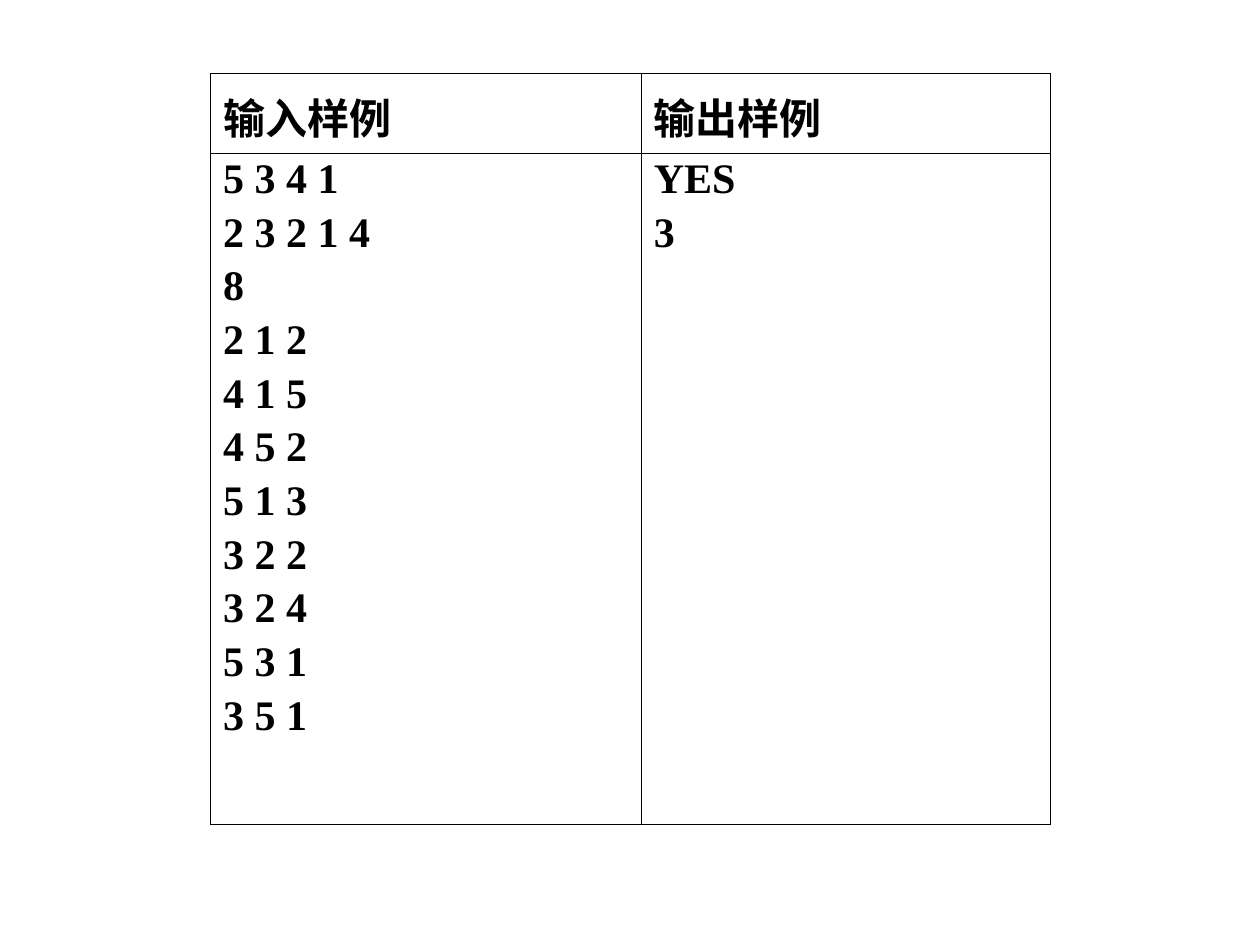
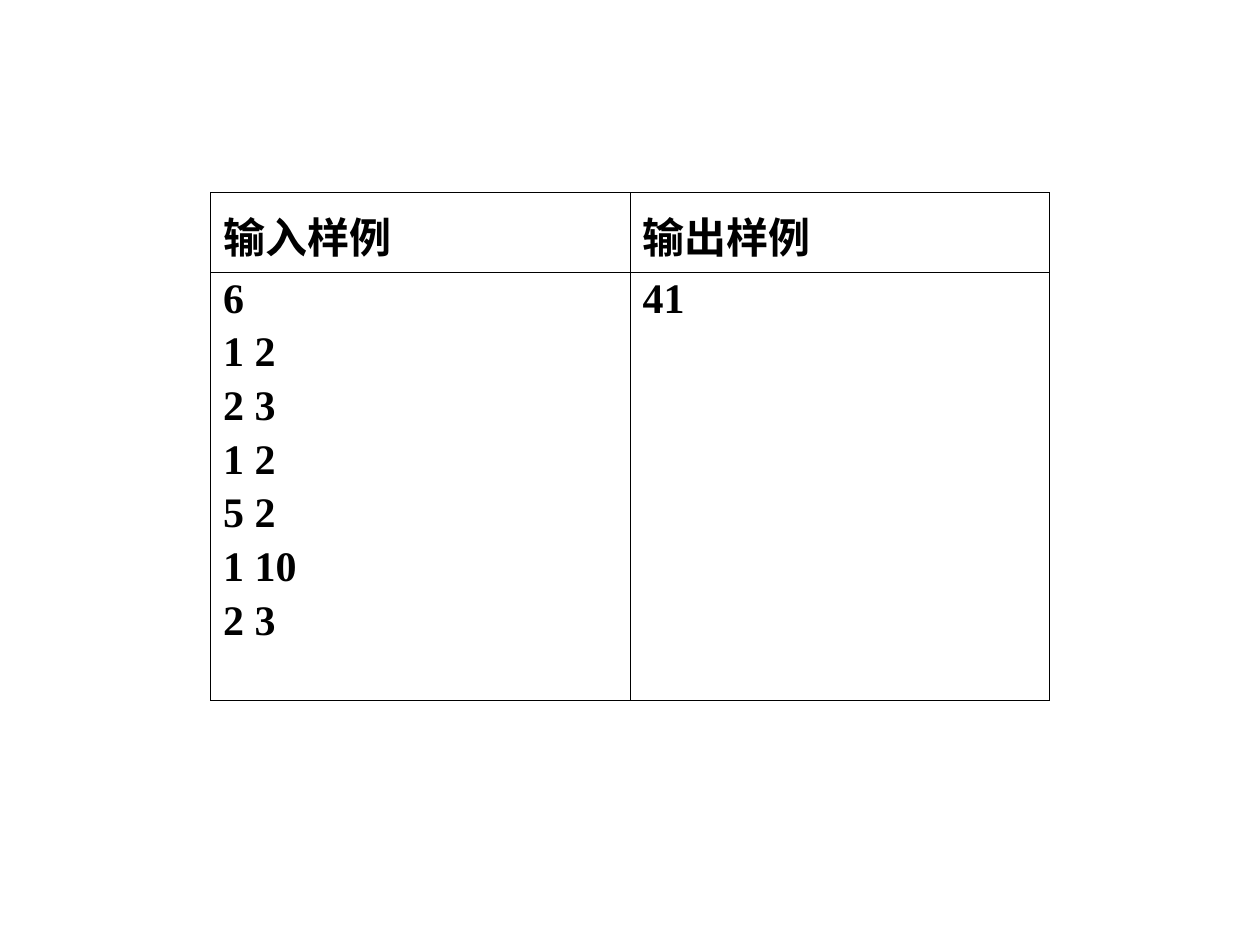
from dataclasses import dataclass

from lxml.etree import SubElement
from pptx import Presentation
from pptx.dml.color import RGBColor
from pptx.enum.text import PP_ALIGN
from pptx.oxml.ns import qn
from pptx.slide import Slide
from pptx.table import _Cell
from pptx.text.text import _Paragraph
from pptx.util import Inches, Pt

BLACK = "000000"
HEADING_FONT = "Noto Sans CJK SC"
DATA_FONT = "Times New Roman"
HEADINGS = ("输入样例", "输出样例")
TABLE_LEFT = 1.67
OUTER_BORDER, INNER_BORDER = 0.5, 0.23


@dataclass(frozen=True)
class SampleTable:
    """One slide's sample input and expected output; lengths in inches."""
    top: float
    column_widths: tuple[float, float]
    row_heights: tuple[float, float]
    input_lines: list[str]
    output_lines: list[str]
    input_alignment: PP_ALIGN


SAMPLES = [
    SampleTable(
        0.58, (3.42, 3.25), (0.55, 5.33),
        ["5 3 4 1", "2 3 2 1 4", "8", "2 1 2", "4 1 5", "4 5 2",
         "5 1 3", "3 2 2", "3 2 4", "5 3 1", "3 5 1"],
        ["YES", "3"], PP_ALIGN.LEFT),
    SampleTable(
        1.53, (3.33, 3.33), (0.62, 3.4),
        ["6", "1 2", "2 3", "1 2", "5 2", "1 10", "2 3"],
        ["41"], PP_ALIGN.JUSTIFY),
]


def color(value: str) -> RGBColor:
    return RGBColor.from_string(value)


def format_paragraph(paragraph: _Paragraph, font_name: str, line_spacing: float,
                     alignment: PP_ALIGN) -> None:
    paragraph.alignment = alignment
    paragraph.line_spacing = line_spacing
    font = paragraph.font
    font.name = font_name
    font.size = Pt(24)
    font.bold = True
    font.color.rgb = color(BLACK)
    properties = paragraph._p.pPr.find(qn("a:defRPr"))
    SubElement(properties, qn("a:ea"), typeface=font_name)


def fill_cell(cell: _Cell, lines: list[str], font_name: str, line_spacing: float,
              alignment: PP_ALIGN) -> None:
    cell.text = "\n".join(lines)
    for index, paragraph in enumerate(cell.text_frame.paragraphs):
        paragraph.space_before = Pt(6 if index else 0)
        format_paragraph(paragraph, font_name, line_spacing, alignment)


def set_borders(cell: _Cell, row: int, column: int) -> None:
    """Draw the outside edges of the two-by-two table thicker than the inside ones."""
    outer_edges = {"lnL": column == 0, "lnR": column == 1,
                   "lnT": row == 0, "lnB": row == 1}
    cell_properties = cell._tc.get_or_add_tcPr()
    for edge, is_outer in outer_edges.items():
        width = Pt(OUTER_BORDER if is_outer else INNER_BORDER)
        line = SubElement(cell_properties, qn(f"a:{edge}"), w=str(int(width)))
        SubElement(SubElement(line, qn("a:solidFill")), qn("a:srgbClr"), val=BLACK)


def draw_sample(slide: Slide, sample: SampleTable) -> None:
    frame = slide.shapes.add_table(
        2, 2, Inches(TABLE_LEFT), Inches(sample.top),
        Inches(sum(sample.column_widths)), Inches(sum(sample.row_heights)))
    table = frame.table
    table.first_row = False
    table.horz_banding = False
    for column, width in zip(table.columns, sample.column_widths):
        column.width = Inches(width)
    for row, height in zip(table.rows, sample.row_heights):
        row.height = Inches(height)

    for column, heading in enumerate(HEADINGS):
        fill_cell(table.cell(0, column), [heading], HEADING_FONT, 1.1, PP_ALIGN.JUSTIFY)
    fill_cell(table.cell(1, 0), sample.input_lines, DATA_FONT, 0.93, sample.input_alignment)
    fill_cell(table.cell(1, 1), sample.output_lines, DATA_FONT, 0.93, PP_ALIGN.LEFT)

    for row in range(2):
        for column in range(2):
            cell = table.cell(row, column)
            set_borders(cell, row, column)
            cell.fill.background()


def main() -> None:
    presentation = Presentation()
    presentation.slide_width = Inches(10)
    presentation.slide_height = Inches(7.5)
    blank_layout = presentation.slide_layouts[6]
    for sample in SAMPLES:
        draw_sample(presentation.slides.add_slide(blank_layout), sample)
    presentation.save("out.pptx")


if __name__ == "__main__":
    main()
